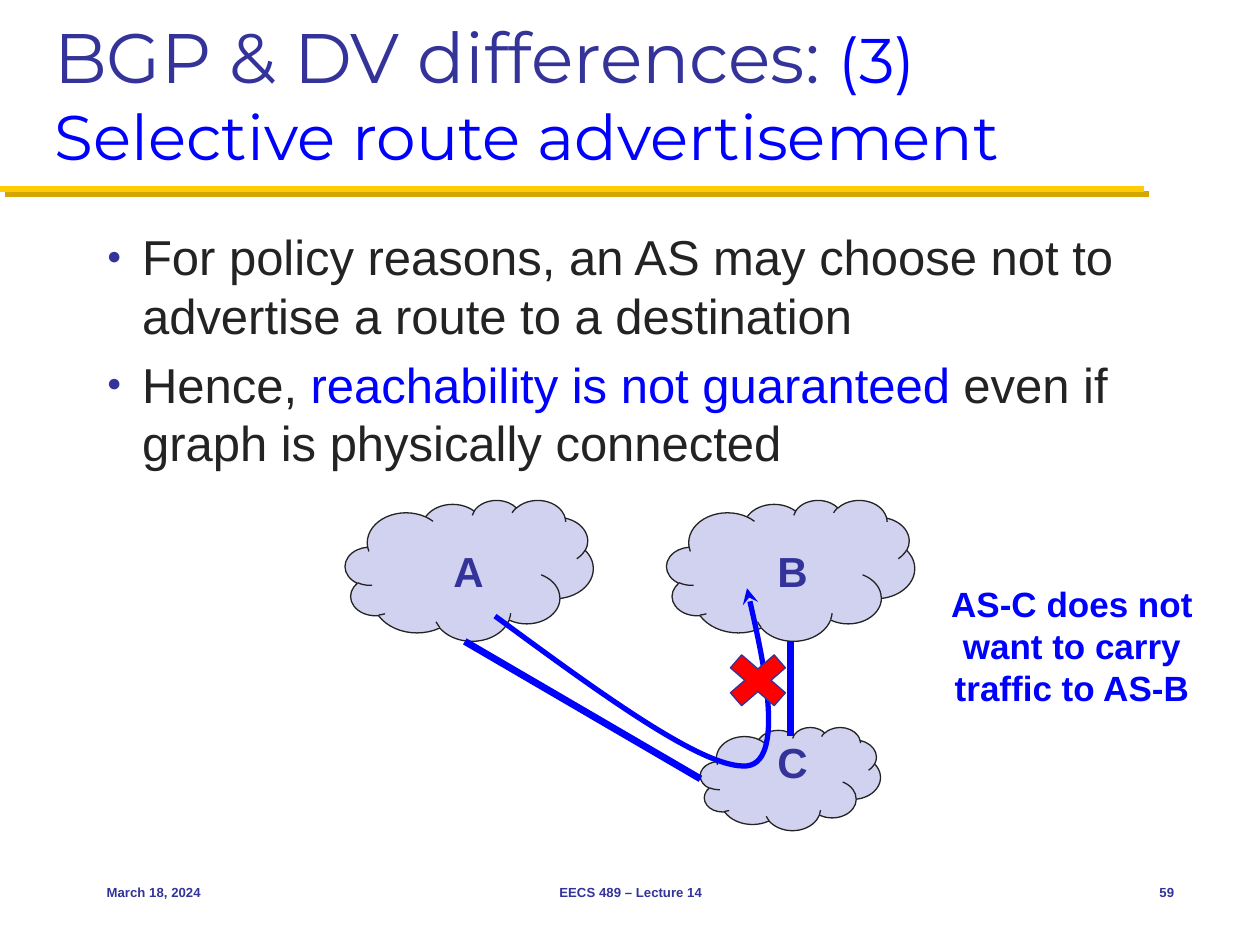
from dataclasses import dataclass

from lxml import etree
from pptx import Presentation
from pptx import util as u
from pptx.dml.color import RGBColor
from pptx.enum import shapes, text
from pptx.oxml import ns

Cm, Pt = u.Cm, u.Pt
ALIGN = text.PP_ALIGN


@dataclass(frozen=True)
class Theme:
    """Colours, fonts and type sizes of the deck."""
    navy: str = "333399"
    blue: str = "0000FF"
    ink: str = "232323"
    cloud: str = "D1D1F0"
    red: str = "FF0000"
    gold: str = "FFCB05"
    dark_gold: str = "D3A600"
    head_font: str = "Montserrat"
    body_font: str = "Arial"
    title: float = 40
    subtitle: float = 36
    body: float = 28
    letter: float = 24
    label: float = 20
    footer: float = 7.5


T = Theme()


def rgb(value):
    """Return a colour object for a hex string."""
    return RGBColor.from_string(value)


def sub(parent, tag, **attrs):
    """Append a namespaced XML child and return it."""
    return etree.SubElement(parent, ns.qn(tag), attrs)


def style(font, size, color, name=T.body_font, bold=None):
    """Set the look of a font."""
    font.size, font.name, font.bold = Pt(size), name, bold
    font.color.rgb = rgb(color)


def place(sp, left, top, width, height):
    """Move a shape to a box given in centimetres."""
    sp.left, sp.top, sp.width, sp.height = map(Cm, (left, top, width, height))


def add_text(s, box, words, size, color, align=ALIGN.LEFT, wrap=False,
             anchor=text.MSO_ANCHOR.TOP):
    """Add a bold one-paragraph text box."""
    tf = s.shapes.add_textbox(*map(Cm, box)).text_frame
    tf.word_wrap, tf.vertical_anchor = wrap, anchor
    p = tf.paragraphs[0]
    p.text, p.alignment = words, align
    style(p.font, size, color, bold=True)


def add_line(s, start, end, color, width):
    """Add a straight connector and return its empty effect list."""
    sp = s.shapes.add_connector(shapes.MSO_CONNECTOR.STRAIGHT,
                                *map(Cm, (*start, *end)))
    sp.line.color.rgb, sp.line.width = rgb(color), Pt(width)
    return sub(sp._element.spPr, "a:effectLst")


def add_preset(s, kind, box, fill, line):
    """Add a filled preset shape with a thin outline."""
    sp = s.shapes.add_shape(kind, *map(Cm, box))
    sp.shadow.inherit = False
    sp.fill.solid()
    sp.fill.fore_color.rgb = rgb(fill)
    sp.line.color.rgb, sp.line.width = rgb(line), Pt(0.75)


def add_curve(s, points, color, width):
    """Add an open Bezier path ending in a stealth arrowhead."""
    start, *rest = [(Cm(x), Cm(y)) for x, y in points]
    builder = s.shapes.build_freeform(*start)
    builder.add_line_segments(rest, close=False)
    sp = builder.convert_to_shape()
    sp.shadow.inherit = False
    sp.fill.background()
    sp.line.color.rgb, sp.line.width = rgb(color), Pt(width)
    sub(sp.line._get_or_add_ln(), "a:tailEnd", type="stealth")
    route = next(sp._element.iter(ns.qn("a:path")))
    steps = route.findall(ns.qn("a:lnTo"))
    for i in range(0, len(steps), 3):
        bezier = sub(route, "a:cubicBezTo")
        for step in steps[i:i + 3]:
            bezier.append(step[0])
            route.remove(step)


def build_title(s, box):
    """Fill the title and draw the shadowed rule beneath it."""
    left, top, width, height = box
    effects = add_line(s, (0, top + 3.38), (23.06, top + 3.38), T.gold, 3.5)
    shadow = sub(effects, "a:outerShdw", dist=str(Pt(4.2)), dir="2700000",
                 algn="ctr", rotWithShape="0")
    sub(shadow, "a:srgbClr", val=T.dark_gold)
    sp = s.shapes.title
    place(sp, left, top, width, height)
    tf = sp.text_frame
    tf.auto_size = text.MSO_AUTO_SIZE.NONE
    tf.vertical_anchor = text.MSO_ANCHOR.BOTTOM
    p = tf.paragraphs[0]
    p.alignment = ALIGN.LEFT
    for words, size, color in (
            ("BGP & DV differences: ", T.title, T.navy),
            ("(3) Selective route advertisement", T.subtitle, T.blue)):
        r = p.add_run()
        r.text = words
        style(r.font, size, color, T.head_font)


def build_bullets(s, box, items):
    """Fill the body placeholder with bullets made of coloured runs."""
    sp = s.placeholders[1]
    place(sp, *box)
    tf = sp.text_frame
    tf.auto_size = text.MSO_AUTO_SIZE.NONE
    for i, runs in enumerate(items):
        p = tf.paragraphs[0] if i == 0 else tf.add_paragraph()
        pPr = p._p.get_or_add_pPr()
        pPr.set("marL", str(Cm(0.71)))
        pPr.set("indent", str(-Cm(0.71)))
        sub(sub(pPr, "a:buClr"), "a:srgbClr", val=T.navy)
        sub(pPr, "a:buSzPct", val="50000")
        sub(pPr, "a:buChar", char="●")
        p.space_before = Pt(5.6 if i else 0)
        for words, color in runs:
            r = p.add_run()
            r.text = words
            style(r.font, T.body, color)


def build_diagram(s, left, top):
    """Draw the three networks, their links and the refused route."""
    def at(x, y, *size):
        return (left + x, top + y, *size)

    shape = shapes.MSO_SHAPE
    for box in ((7.16, 4.58, 3.63, 2.08), (6.48, 0, 5, 2.84), (0, 0, 5, 2.84)):
        add_preset(s, shape.CLOUD, at(*box), T.cloud, T.ink)
    for start, end in (((2.41, 2.85), (7.16, 5.62)),
                       ((8.97, 2.85), (8.97, 4.75))):
        add_line(s, at(*start), at(*end), T.blue, 4)
    for name, x, y in (("A", 1.93, 0.79), ("B", 8.46, 0.79), ("C", 8.46, 4.65)):
        add_text(s, at(x, y, 1, 1.2), name, T.letter, T.navy)
    add_text(s, at(11.35, 1.53, 6.6, 2.82),
             "AS-C does not want to carry traffic to AS-B",
             T.label, T.blue, ALIGN.CENTER, wrap=True)
    route = ((3.02, 2.34), (5.13, 3.89), (7.24, 5.44), (8.1, 5.36),
             (8.94, 5.26), (8.1, 1.78), (8.1, 1.78))
    add_curve(s, [at(*point) for point in route], T.blue, 3)
    add_preset(s, shape.MATH_MULTIPLY, at(7.47, 2.9, 1.7, 1.47), T.red, T.navy)


def build_footer(s, top, height):
    """Place date, course and slide number along the bottom."""
    for words, left, width, align in (
            ("March 18, 2024", 1.9, 5.28, ALIGN.LEFT),
            ("EECS 489 – Lecture 14", 8.69, 8.05, ALIGN.CENTER),
            ("59", 22.22, 1.7, ALIGN.RIGHT)):
        add_text(s, (left, top, width, height), words, T.footer, T.navy, align,
                 wrap=True, anchor=text.MSO_ANCHOR.MIDDLE)


def main():
    """Build the slide and save it."""
    prs = Presentation()
    prs.slide_width, prs.slide_height = Cm(25.4), Cm(19.05)
    s = prs.slides.add_slide(prs.slide_layouts[1])
    build_title(s, (0.84, 0.43, 23.7, 3.18))
    build_bullets(s, (1.9, 4.44, 22.02, 12.27), (
        (("For policy reasons, an AS may choose not to advertise "
          "a route to a destination", T.ink),),
        (("Hence, ", T.ink),
         ("reachability is not guaranteed", T.blue),
         (" even if graph is physically connected", T.ink))))
    build_diagram(s, 6.96, 10.08)
    build_footer(s, 17.35, 1.27)
    prs.save("out.pptx")


if __name__ == "__main__":
    main()
